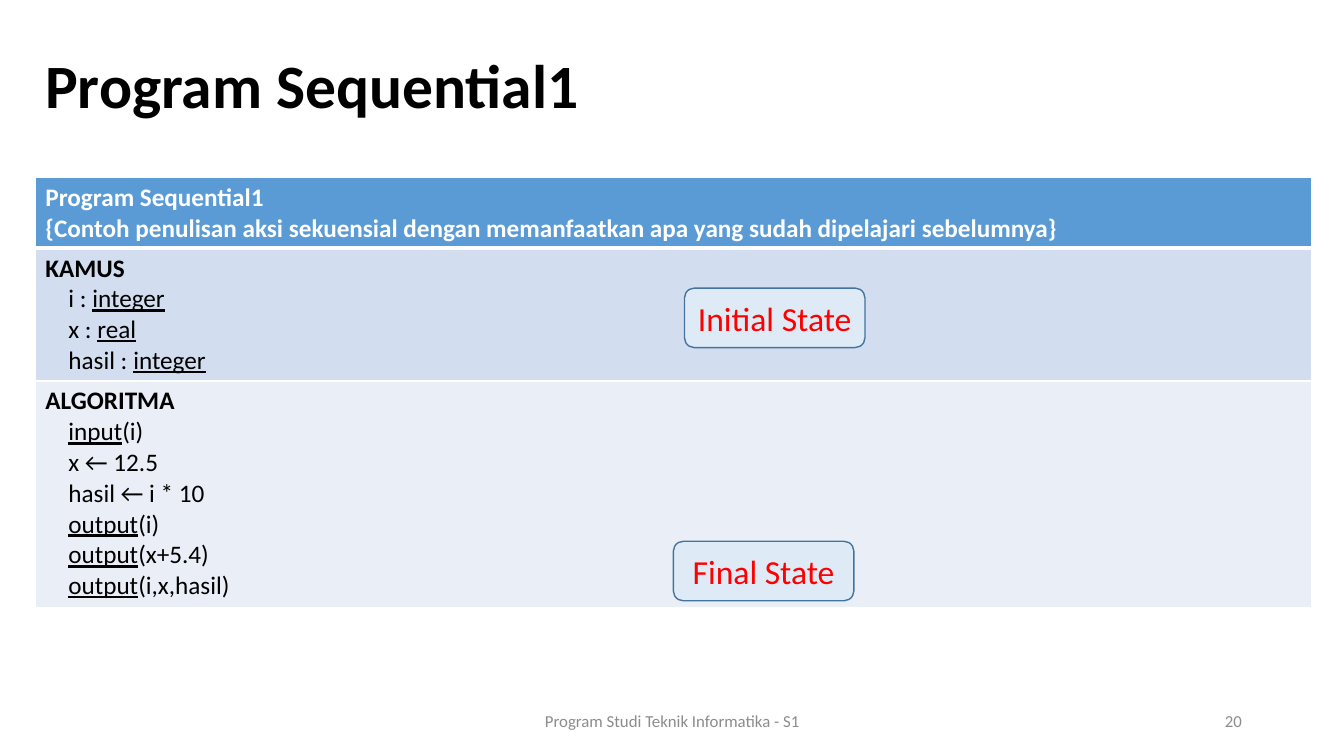
from dataclasses import dataclass
from typing import Any

import pptx
import pptx.dml.color
import pptx.enum.shapes
import pptx.enum.text
import pptx.oxml.ns
import pptx.util
from lxml import etree

Cm = pptx.util.Cm
Pt = pptx.util.Pt
Align = pptx.enum.text.PP_ALIGN
Anchor = pptx.enum.text.MSO_ANCHOR

FONT = "Calibri"
BLACK = "000000"
WHITE = "FFFFFF"
GREY = "8C8C8C"
RED = "FF0000"
INDENT = Cm(0.58)


@dataclass
class Line:
    text: str
    bold: bool = False
    indented: bool = True


@dataclass
class Section:
    lines: list[Line]
    fill: str
    color: str
    height: float
    top_border: float
    bottom_border: float


@dataclass
class Label:
    text: str
    left: float
    top: float
    width: float
    height: float
    size: float
    color: str
    align: Any
    bold: bool = False
    spacing: float = 1.0


SECTIONS = [
    Section([Line("Program Sequential1", True, False),
             Line("{Contoh penulisan aksi sekuensial dengan memanfaatkan "
                  "apa yang sudah dipelajari sebelumnya}", True, False)],
            "5B9BD5", WHITE, 1.77, 1, 3),
    Section([Line("KAMUS", True, False), Line("i : _integer_"),
             Line("x : _real_"), Line("hasil : _integer_")],
            "D2DEEF", BLACK, 3.35, 3, 1),
    Section([Line("ALGORITMA", True, False), Line("_input_(i)"),
             Line("x ← 12.5"), Line("hasil ← i * 10"),
             Line("_output_(i)"), Line("_output_(x+5.4)"),
             Line("_output_(i,x,hasil)")],
            "EAEFF7", BLACK, 5.7, 1, 1),
]

TITLE = Label("Program Sequential1", 0.89, 0.38, 27.89, 3.68, 44, BLACK,
              Align.LEFT, True, 0.9)
FOOTERS = [
    Label("Program Studi Teknik Informatika - S1", 11.23, 17.65, 11.43, 1.02,
          12, GREY, Align.CENTER),
    Label("20", 23.93, 17.65, 7.62, 1.02, 12, GREY, Align.RIGHT),
]
STATES = [
    Label("Initial State", 17.25, 7.26, 4.55, 1.5, 24, RED, Align.CENTER),
    Label("Final State", 16.97, 13.64, 4.55, 1.5, 24, RED, Align.CENTER),
]


def rgb(color: str) -> Any:
    return pptx.dml.color.RGBColor.from_string(color)


def apply(target: Any, values: dict[str, Any]) -> None:
    for attribute, value in values.items():
        setattr(target, attribute, value)


def paint(part: Any, color: str) -> None:
    part.fill.solid()
    part.fill.fore_color.rgb = rgb(color)


def add_run(paragraph: Any, text: str, size: float, color: str,
            bold: bool, underline: bool = False) -> None:
    run = paragraph.add_run()
    run.text = text
    apply(run.font, {"name": FONT, "size": Pt(size), "bold": bold,
                     "underline": underline})
    run.font.color.rgb = rgb(color)


def write_label(shape: Any, label: Label) -> None:
    frame = shape.text_frame
    apply(frame, {"word_wrap": True, "vertical_anchor": Anchor.MIDDLE})
    paragraph = frame.paragraphs[0]
    apply(paragraph, {"alignment": label.align, "line_spacing": label.spacing})
    add_run(paragraph, label.text, label.size, label.color, label.bold)


def label_box(label: Label) -> list[Any]:
    return [Cm(v) for v in (label.left, label.top, label.width, label.height)]


def add_label(slide: Any, label: Label) -> None:
    write_label(slide.shapes.add_textbox(*label_box(label)), label)


def add_state(slide: Any, label: Label) -> None:
    state = slide.shapes.add_shape(
        pptx.enum.shapes.MSO_SHAPE.ROUNDED_RECTANGLE, *label_box(label))
    state.shadow.inherit = False
    paint(state, "DEEBF7")
    state.line.color.rgb = rgb("43739E")
    state.line.width = Pt(1)
    write_label(state, label)


def add_borders(cell: Any, widths: dict[str, float]) -> None:
    qn = pptx.oxml.ns.qn
    properties = cell._tc.get_or_add_tcPr()
    for side, width in widths.items():
        border = etree.SubElement(properties, qn(f"a:ln{side}"), w=str(Pt(width)))
        solid = etree.SubElement(border, qn("a:solidFill"))
        etree.SubElement(solid, qn("a:srgbClr"), val=WHITE)


def write_section(cell: Any, section: Section) -> None:
    add_borders(cell, {"L": 1, "R": 1, "T": section.top_border,
                       "B": section.bottom_border})
    paint(cell, section.fill)
    frame = cell.text_frame
    for number, line in enumerate(section.lines):
        paragraph = frame.add_paragraph() if number else frame.paragraphs[0]
        if line.indented:
            paragraph._p.get_or_add_pPr().set("marL", str(INDENT))
        for position, piece in enumerate(line.text.split("_")):
            if piece:
                add_run(paragraph, piece, 18, section.color, line.bold,
                        position % 2 == 1)


def add_program(slide: Any) -> None:
    height = sum(section.height for section in SECTIONS)
    program = slide.shapes.add_table(
        len(SECTIONS), 1, Cm(0.89), Cm(4.47), Cm(32.16), Cm(height)).table
    apply(program, {"first_row": False, "horz_banding": False})
    for row, section in zip(program.rows, SECTIONS):
        row.height = Cm(section.height)
        write_section(row.cells[0], section)


def main() -> None:
    presentation = pptx.Presentation()
    apply(presentation, {"slide_width": Cm(33.87), "slide_height": Cm(19.05)})
    slide = presentation.slides.add_slide(presentation.slide_layouts[6])
    add_label(slide, TITLE)
    add_program(slide)
    for footer in FOOTERS:
        add_label(slide, footer)
    for state in STATES:
        add_state(slide, state)
    presentation.save("out.pptx")


if __name__ == "__main__":
    main()
